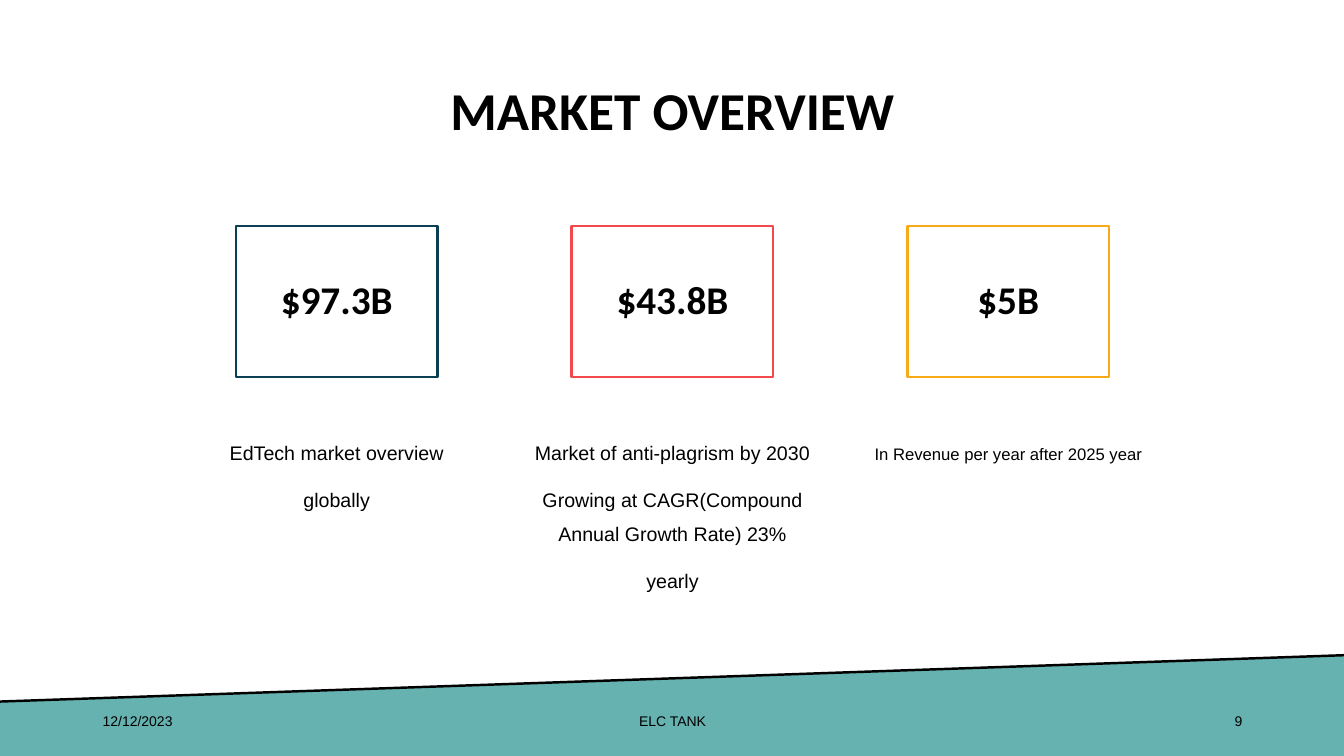
from lxml.etree import SubElement
from pptx import Presentation
from pptx.dml.color import RGBColor
from pptx.enum.shapes import MSO_CONNECTOR, MSO_SHAPE
from pptx.enum.text import MSO_ANCHOR, PP_ALIGN
from pptx.oxml.ns import qn
from pptx.util import Inches, Pt

COLORS = {
    "text": "000000",
    "band": "66B2B0",
    "navy": "0A4054",
    "red": "F2494C",
    "amber": "F9AA19",
}

TITLE = {"size": Pt(38), "name": "Calibri", "bold": True}
FIGURE = {"size": Pt(28), "name": "Calibri", "bold": True}
DETAIL = {"size": Pt(14), "name": "Arial"}
SMALL_DETAIL = {"size": Pt(11.9), "name": "Arial"}
FOOTER = {"size": Pt(10), "name": "Arial"}

TIGHT = {"alignment": PP_ALIGN.CENTER, "line_spacing": 0.9}
SPACED = {
    "alignment": PP_ALIGN.CENTER,
    "line_spacing": Pt(24),
    "space_before": Pt(10),
}

MARKETS = [
    ("$97.3B", "navy", ["EdTech market overview", "globally"], DETAIL, 0.98),
    (
        "$43.8B",
        "red",
        [
            "Market of anti-plagrism by 2030",
            "Growing at CAGR(Compound Annual Growth Rate) 23%",
            "yearly",
        ],
        DETAIL,
        1.75,
    ),
    ("$5B", "amber", ["In Revenue per year after 2025 year"], SMALL_DETAIL, 0.4),
]
FIRST_CENTER = 3.34
COLUMN_PITCH = 3.33

FOOTERS = [
    ("12/12/2023", 0.92, 3, PP_ALIGN.LEFT),
    ("ELC TANK", 4.42, 4.5, PP_ALIGN.CENTER),
    ("9", 9.42, 3, PP_ALIGN.RIGHT),
]

SLIDE_WIDTH = 13.33
SLIDE_HEIGHT = 7.5
BAND_LEFT_TOP = 6.96
BAND_RIGHT_TOP = 6.5


def color(name):
    return RGBColor.from_string(COLORS[name])


def apply_format(target, values):
    for attribute, value in values.items():
        setattr(target, attribute, value)


def write_text(shape, lines, font_format, para_format, anchor):
    frame = shape.text_frame
    apply_format(frame, {"word_wrap": True, "vertical_anchor": anchor})
    for index, line in enumerate(lines):
        para = frame.add_paragraph() if index else frame.paragraphs[0]
        apply_format(para, para_format)
        span = para.add_run()
        span.text = line
        apply_format(span.font, font_format)
        span.font.color.rgb = color("text")


def add_text(page, area, lines, font_format, para_format, anchor=MSO_ANCHOR.MIDDLE):
    box = page.shapes.add_textbox(*map(Inches, area))
    write_text(box, lines, font_format, para_format, anchor)


def add_figure_box(page, area, figure, outline):
    box = page.shapes.add_shape(MSO_SHAPE.RECTANGLE, *map(Inches, area))
    box.shadow.inherit = False
    box.fill.background()
    box.line.color.rgb = color(outline)
    box.line.width = Pt(1.75)
    write_text(box, [figure], FIGURE, TIGHT, MSO_ANCHOR.MIDDLE)


def add_footer_band(page):
    left_end = (Inches(0), Inches(BAND_LEFT_TOP))
    right_end = (Inches(SLIDE_WIDTH), Inches(BAND_RIGHT_TOP))
    bottom = Inches(SLIDE_HEIGHT)
    builder = page.shapes.build_freeform(*left_end)
    builder.add_line_segments([right_end, (right_end[0], bottom), (left_end[0], bottom)])
    band = builder.convert_to_shape()
    band.shadow.inherit = False
    band.fill.solid()
    band.fill.fore_color.rgb = color("band")
    band.line.fill.background()

    edge = page.shapes.add_connector(MSO_CONNECTOR.STRAIGHT, *right_end, *left_end)
    edge.line.color.rgb = color("text")
    edge.line.width = Pt(1.75)
    SubElement(edge._element.spPr, qn("a:effectLst"))


def add_market(page, center, figure, outline, details, detail_format, height):
    add_figure_box(page, (center - 1, 2.24, 2, 1.5), figure, outline)
    area = (center - 1.5, 4.22, 3, height)
    add_text(page, area, details, detail_format, SPACED, MSO_ANCHOR.TOP)


def main():
    deck = Presentation()
    deck.slide_width = Inches(SLIDE_WIDTH)
    deck.slide_height = Inches(SLIDE_HEIGHT)
    page = deck.slides.add_slide(deck.slide_layouts[6])

    add_footer_band(page)
    add_text(page, (0.92, 0.4, 11.5, 1.45), ["MARKET OVERVIEW"], TITLE, TIGHT)
    for index, market in enumerate(MARKETS):
        add_market(page, FIRST_CENTER + index * COLUMN_PITCH, *market)
    for label, left, width, alignment in FOOTERS:
        add_text(page, (left, 6.95, width, 0.4), [label], FOOTER, {"alignment": alignment})

    deck.save("out.pptx")


if __name__ == "__main__":
    main()
